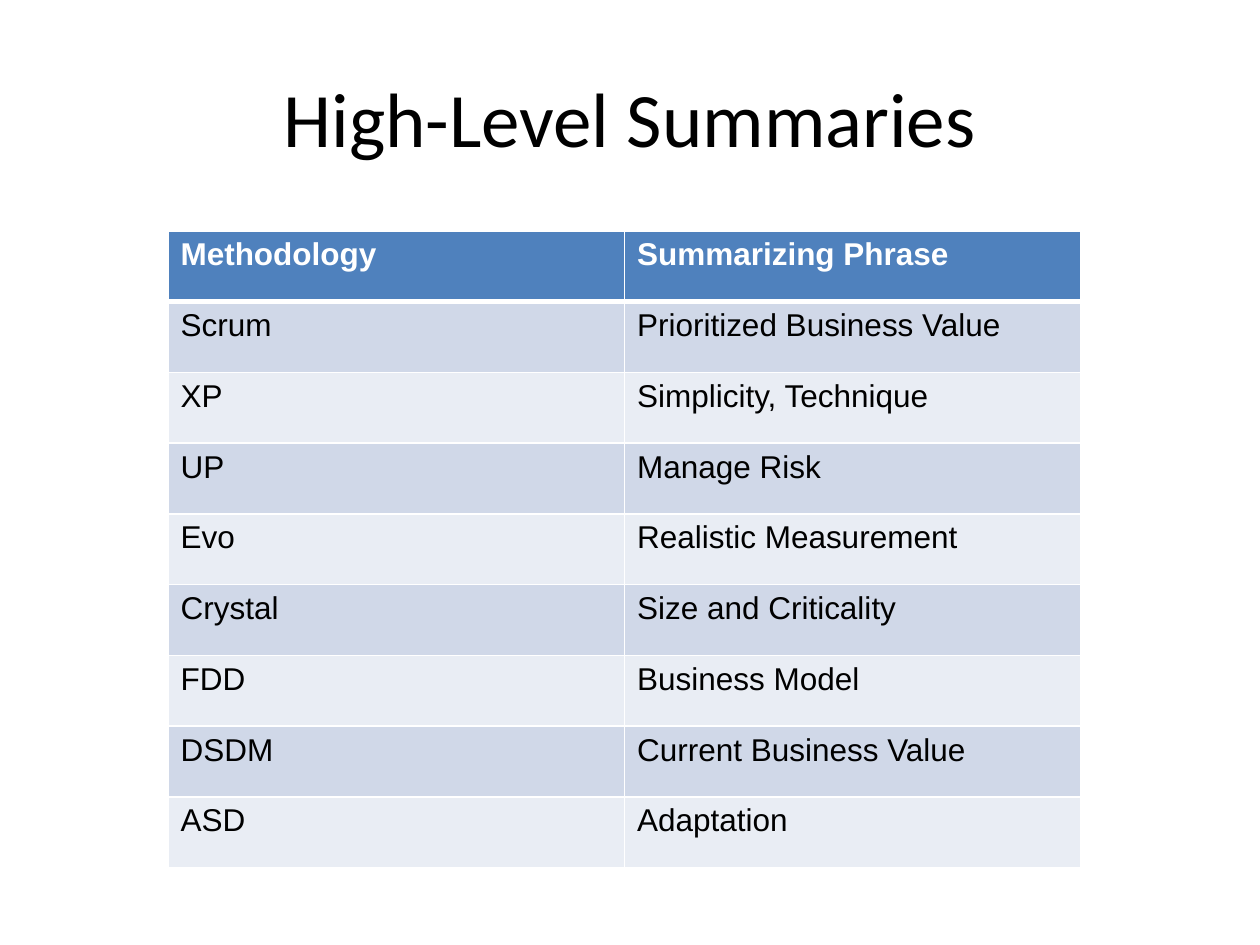
from dataclasses import dataclass

from lxml.etree import SubElement
from pptx import Presentation
from pptx.dml.color import RGBColor as RGB
from pptx.enum.text import MSO_ANCHOR as Anchor, PP_ALIGN as Align
from pptx.oxml.ns import qn
from pptx.util import Pt

PX = 914400 / 126
ROWS = [
    ("Methodology", "Summarizing Phrase"),
    ("Scrum", "Prioritized Business Value"),
    ("XP", "Simplicity, Technique"),
    ("UP", "Manage Risk"),
    ("Evo", "Realistic Measurement"),
    ("Crystal", "Size and Criticality"),
    ("FDD", "Business Model"),
    ("DSDM", "Current Business Value"),
    ("ASD", "Adaptation"),
]


@dataclass(frozen=True)
class Theme:
    """Colours, fonts and type sizes of the slide."""
    text: str = "000000"
    inverse: str = "FFFFFF"
    header: str = "4F81BD"
    bands: tuple = ("D0D8E8", "E9EDF4")
    title_font: str = "Calibri"
    body_font: str = "Arial"
    title_size: int = 44
    body_size: int = 18
    rule: int = 1
    header_rule: int = 3


THEME = Theme()


def emu(px):
    """Turn px into EMU."""
    return round(px * PX)


def write(tf, text, color, align=Align.LEFT, **fmt):
    """Put one formatted line of text in a text frame."""
    p = tf.paragraphs[0]
    p.alignment = align
    r = p.add_run()
    r.text = text
    for name, value in fmt.items():
        setattr(r.font, name, value)
    r.font.color.rgb = RGB.from_string(color)


def set_borders(cell, **widths):
    """Draw solid cell borders of the given point widths."""
    tc_pr = cell._tc.get_or_add_tcPr()
    for side, width in widths.items():
        ln = SubElement(tc_pr, qn(f"a:ln{side}"), w=str(Pt(width)))
        fill = SubElement(ln, qn("a:solidFill"))
        SubElement(fill, qn("a:srgbClr"), val=THEME.inverse)


def add_title(s, box, text):
    """Place the centred slide title in a box."""
    tf = s.shapes.add_textbox(*map(emu, box)).text_frame
    tf.word_wrap = True
    tf.vertical_anchor = Anchor.MIDDLE
    write(tf, text, THEME.text, Align.CENTER,
          name=THEME.title_font, size=Pt(THEME.title_size))


def add_summary_table(s, box, rows):
    """Place the banded table, its rows and columns sharing the box evenly."""
    x, y, w, h = map(emu, box)
    table = s.shapes.add_table(len(rows), len(rows[0]), x, y, w, h).table
    for col in table.columns:
        col.width = w // len(rows[0])
    for i, values in enumerate(rows):
        table.rows[i].height = h // len(rows)
        header = i == 0
        fill = THEME.header if header else THEME.bands[(i - 1) % 2]
        top = THEME.header_rule if i == 1 else THEME.rule
        bottom = THEME.header_rule if header else THEME.rule
        for j, text in enumerate(values):
            cell = table.cell(i, j)
            set_borders(cell, L=THEME.rule, R=THEME.rule, T=top, B=bottom)
            cell.fill.solid()
            cell.fill.fore_color.rgb = RGB.from_string(fill)
            write(cell.text_frame, text,
                  THEME.inverse if header else THEME.text,
                  name=THEME.body_font, size=Pt(THEME.body_size), bold=header)


def main():
    """Build and save the slide."""
    prs = Presentation()
    prs.slide_width, prs.slide_height = emu(1260), emu(945)
    s = prs.slides.add_slide(prs.slide_layouts[6])
    add_title(s, (63, 38, 1134, 157), "High-Level Summaries")
    add_summary_table(s, (168, 231, 913, 637), ROWS)
    prs.save("out.pptx")


if __name__ == "__main__":
    main()
